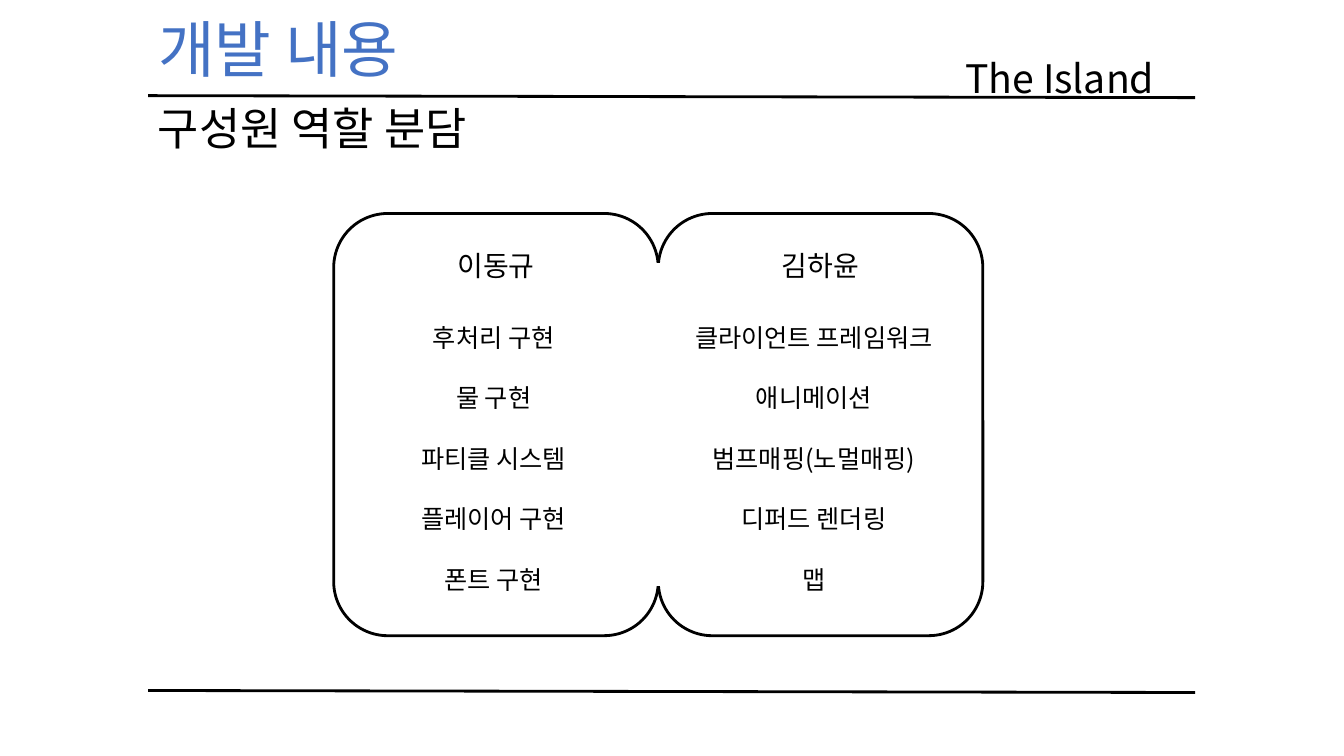
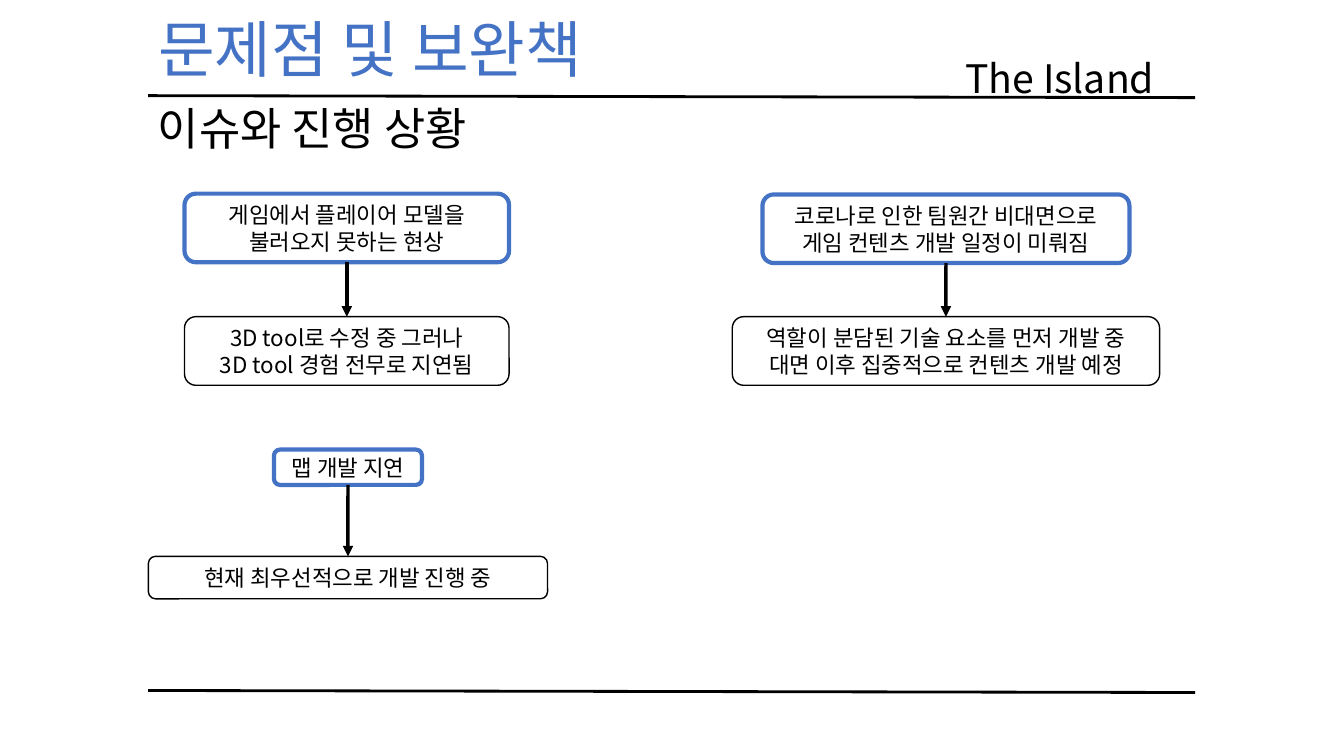
from dataclasses import dataclass

from lxml.etree import SubElement
from pptx import Presentation
from pptx.dml.color import RGBColor
from pptx.enum.shapes import MSO_CONNECTOR, MSO_SHAPE
from pptx.enum.text import MSO_ANCHOR, MSO_AUTO_SIZE, PP_ALIGN
from pptx.oxml.ns import qn
from pptx.util import Cm, Pt


@dataclass(frozen=True)
class Theme:
    font: str = "Noto Sans CJK KR"
    ink: RGBColor = RGBColor(0x00, 0x00, 0x00)
    blue: RGBColor = RGBColor(0x44, 0x72, 0xC4)
    paper: RGBColor = RGBColor(0xFF, 0xFF, 0xFF)
    title: int = 44
    head: int = 32
    game: int = 28
    name: int = 20
    item: int = 18
    note: int = 16
    lead: float = 1.2


THEME = Theme()

GAME = "The Island"
ROLES = {
    "title": "개발 내용",
    "head": "구성원 역할 분담",
    # name, centre of the task list, tasks
    "team": [
        ("이동규", 12.44, ["후처리 구현", "물 구현", "파티클 시스템",
                        "플레이어 구현", "폰트 구현"]),
        ("김하윤", 20.51, ["클라이언트 프레임워크", "애니메이션",
                        "범프매핑(노멀매핑)", "디퍼드 렌더링", "맵"]),
    ],
}
ISSUES = {
    "title": "문제점 및 보완책",
    "head": "이슈와 진행 상황",
    # centre, then issue and answer as (top, width, height, lines)
    "flows": [
        (8.74,
         (4.88, 8.18, 1.73, ["게임에서 플레이어 모델을", "불러오지 못하는 현상"]),
         (7.98, 8.18, 1.73, ["3D tool로 수정 중 그러나",
                             "3D tool 경험 전무로 지연됨"])),
        (23.84,
         (4.9, 9.25, 1.73, ["코로나로 인한 팀원간 비대면으로",
                            "게임 컨텐츠 개발 일정이 미뤄짐"]),
         (7.98, 10.77, 1.73, ["역할이 분담된 기술 요소를 먼저 개발 중",
                              "대면 이후 집중적으로 컨텐츠 개발 예정"])),
        (8.77,
         (11.33, 3.73, 0.89, ["맵 개발 지연"]),
         (14.02, 10.06, 1.07, ["현재 최우선적으로 개발 진행 중"])),
    ],
}

LEFT, RIGHT = 3.73, 30.12
RULES = (2.41, 17.4)
DROP = 0.05
FRAME = (8.41, 5.38, 8.18, 10.64)


def box(x, y, w, h):
    return Cm(x), Cm(y), Cm(w), Cm(h)


def write(shape, lines, size, color=THEME.ink, align=PP_ALIGN.CENTER, gap=0):
    """Fill a shape with one paragraph per line, gap points apart."""
    frame = shape.text_frame
    frame.text = "\n".join(lines)
    frame.auto_size = MSO_AUTO_SIZE.NONE
    frame.word_wrap = True
    frame.vertical_anchor = MSO_ANCHOR.MIDDLE
    for i, para in enumerate(frame.paragraphs):
        props = para._p.get_or_add_pPr()
        props.set("marL", "0")
        props.set("indent", "0")
        SubElement(props, qn("a:buNone"))
        para.alignment = align
        para.space_before = Pt(gap if i else 0)
        if len(lines) > 1:
            para.line_spacing = Pt(size * THEME.lead)
        for run in para.runs:
            run.font.size = Pt(size)
            run.font.name = THEME.font
            run.font.color.rgb = color
            east = SubElement(run._r.get_or_add_rPr(), qn("a:ea"))
            east.set("typeface", THEME.font)


def label(slide, area, text, size, align=PP_ALIGN.LEFT):
    write(slide.shapes.add_textbox(*box(*area)), [text], size, align=align)


def panel(slide, area, color, width, kind=MSO_SHAPE.ROUNDED_RECTANGLE):
    shape = slide.shapes.add_shape(kind, *box(*area))
    shape.shadow.inherit = False
    shape.fill.background()
    shape.line.color.rgb = color
    shape.line.width = Pt(width)
    return shape


def rule(slide, x1, y1, x2, y2, width):
    line = slide.shapes.add_connector(
        MSO_CONNECTOR.STRAIGHT, Cm(x1), Cm(y1), Cm(x2), Cm(y2))
    line.line.color.rgb = THEME.ink
    line.line.width = Pt(width)
    SubElement(line._element.spPr, qn("a:effectLst"))
    return line


def place(shape, area):
    shape.left, shape.top, shape.width, shape.height = box(*area)


def start(deck, layout, data):
    """Add a slide with the title, heading, game name and both rules."""
    slide = deck.slides.add_slide(deck.slide_layouts[layout])
    title = slide.shapes.title
    place(title, (LEFT, 0.15, 14, 2.13))
    write(title, [data["title"]], THEME.title, THEME.blue, PP_ALIGN.LEFT)
    for y in RULES:
        rule(slide, LEFT, y, RIGHT, y + DROP, 2)
    label(slide, (LEFT, 2.41, 10, 1.63), data["head"], THEME.head)
    label(slide, (24.08, 1.24, 5.6, 1.45), GAME, THEME.game)
    return slide


def roles(deck):
    slide = start(deck, 3, ROLES)
    x, y, w, h = FRAME
    for i in range(len(ROLES["team"])):
        panel(slide, (x + i * w, y, w, h), THEME.ink, 2)
    seam = panel(slide, (15.72, 6.65, 1.55, 8.1), THEME.paper, 1,
                 MSO_SHAPE.RECTANGLE)
    seam.fill.solid()
    seam.fill.fore_color.rgb = THEME.paper
    for i, (name, mid, tasks) in enumerate(ROLES["team"]):
        label(slide, (x + i * w, 6.12, w, 1.12), name, THEME.name,
              PP_ALIGN.CENTER)
        body = slide.placeholders[i + 1]
        place(body, (mid - w / 2, 7.95, w, 7.19))
        write(body, tasks, THEME.item, gap=THEME.item * THEME.lead)


def issues(deck):
    slide = start(deck, 5, ISSUES)
    looks = ((THEME.blue, 3), (THEME.ink, 1))
    for mid, *steps in ISSUES["flows"]:
        ends = []
        for (y, w, h, lines), (color, width) in zip(steps, looks):
            shape = panel(slide, (mid - w / 2, y, w, h), color, width)
            frame = shape.text_frame
            frame.margin_left = frame.margin_right = 0
            frame.margin_top = frame.margin_bottom = 0
            write(shape, lines, THEME.note)
            ends.append(shape)
        arrow = rule(slide, mid, steps[0][0] + steps[0][2],
                     mid, steps[1][0], 2.5)
        arrow.begin_connect(ends[0], 2)
        arrow.end_connect(ends[1], 0)
        SubElement(arrow.line._get_or_add_ln(),
                   qn("a:tailEnd")).set("type", "triangle")


def main():
    deck = Presentation()
    deck.slide_width, deck.slide_height = Cm(33.87), Cm(19.05)
    roles(deck)
    issues(deck)
    deck.save("out.pptx")


if __name__ == "__main__":
    main()
